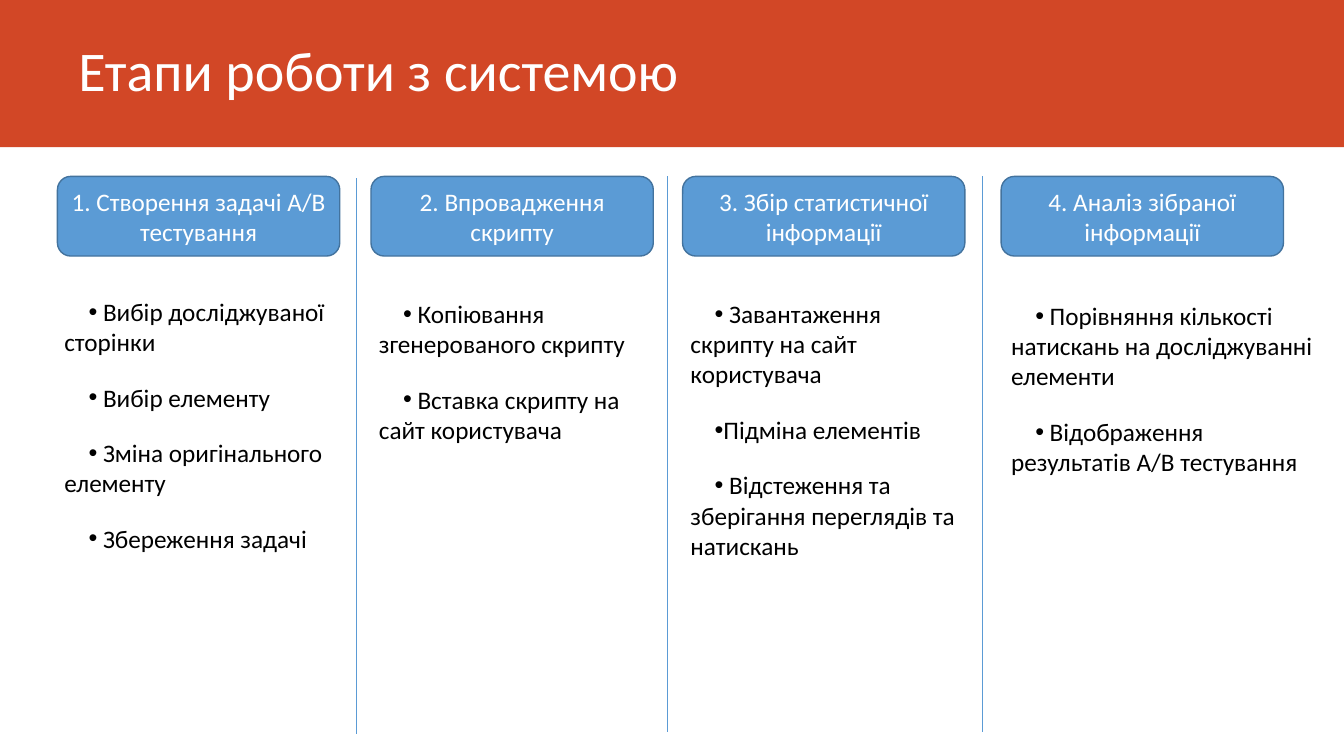
from lxml.etree import SubElement
from pptx import Presentation
from pptx.dml.color import RGBColor
from pptx.enum.shapes import MSO_CONNECTOR as Conn, MSO_SHAPE as Kind
from pptx.enum.text import MSO_ANCHOR as Anchor, PP_ALIGN as Align
from pptx.oxml.ns import qn
from pptx.util import Pt

# Content
TITLE = "Етапи роботи з системою"
# heading, heading left, list left, list top, list width, list height, items
STAGES = [
    ("1. Створення задачі A/B тестування", 57, 54, 289, 286, 268,
     [" Вибір досліджуваної сторінки", " Вибір елементу",
      " Зміна оригінального елементу", " Збереження задачі"]),
    ("2. Впровадження скрипту", 368, 366, 291, 286, 157,
     [" Копіювання згенерованого скрипту",
      " Вставка скрипту на сайт користувача"]),
    ("3. Збір статистичної інформації", 677, 675, 291, 295, 242,
     [" Завантаження скрипту на сайт користувача", "Підміна елементів",
      " Відстеження та зберігання переглядів та натискань"]),
    ("4. Аналіз зібраної інформації", 993, 993, 293, 326, 187,
     [" Порівняння кількості натискань на досліджуванні елементи",
      " Відображення результатів A/B тестування"]),
]
RULES = [(353, 177), (662, 175), (974, 175)]  # left, top

# Look
PX = 9144  # 100 px to the inch
WIDE, HIGH = 1333, 750
HEAD_TOP, HEAD_W, HEAD_H = 175, 280, 79
RULE_H, INDENT = 551, 24
FONT = "Calibri"
RED = RGBColor(0xD2, 0x47, 0x26)
BLUE = RGBColor(0x5B, 0x9B, 0xD5)
EDGE = RGBColor(0x43, 0x73, 0x9E)
WHITE = RGBColor(0xFF, 0xFF, 0xFF)
BLACK = RGBColor(0, 0, 0)


def emu(*sizes):
    return [size * PX for size in sizes]


def add_run(para, text, size, color):
    run = para.add_run()
    run.text = text
    run.font.name = FONT
    run.font.size = Pt(size)
    run.font.color.rgb = color


def add_box(slide, kind, box, fill):
    shape = slide.shapes.add_shape(kind, *emu(*box))
    shape.shadow.inherit = False
    shape.fill.solid()
    shape.fill.fore_color.rgb = fill
    shape.line.fill.background()
    return shape


def add_text(slide, box):
    frame = slide.shapes.add_textbox(*emu(*box)).text_frame
    frame.word_wrap = True
    return frame


def add_title(slide):
    add_box(slide, Kind.RECTANGLE, (0, 0, WIDE, 146), RED)
    frame = add_text(slide, (68, 0, 1150, 145))
    frame.vertical_anchor = Anchor.MIDDLE
    para = frame.paragraphs[0]
    para.line_spacing = 0.9
    add_run(para, TITLE, 40, WHITE)


def add_head(slide, text, left):
    box = (left, HEAD_TOP, HEAD_W, HEAD_H)
    shape = add_box(slide, Kind.ROUNDED_RECTANGLE, box, BLUE)
    shape.line.color.rgb = EDGE
    shape.line.width = Pt(1)
    frame = shape.text_frame
    frame.word_wrap = True
    frame.vertical_anchor = Anchor.MIDDLE
    para = frame.paragraphs[0]
    para.alignment = Align.CENTER
    add_run(para, text, 18, WHITE)


def add_list(slide, items, box):
    frame = add_text(slide, box)
    for i, item in enumerate(items):
        para = frame.add_paragraph() if i else frame.paragraphs[0]
        para.space_before = Pt(18)
        props = para._p.get_or_add_pPr()
        props.set("marL", "0")
        props.set("indent", str(INDENT * PX))
        SubElement(props, qn("a:buFont"), typeface="Arial")
        SubElement(props, qn("a:buChar"), char="•")
        add_run(para, item, 18, BLACK)


def add_rule(slide, left, top):
    ends = emu(left, top, left, top + RULE_H)
    rule = slide.shapes.add_connector(Conn.STRAIGHT, *ends)
    rule.line.color.rgb = BLUE
    rule.line.width = Pt(0.5)
    SubElement(rule._element.spPr, qn("a:effectLst"))


def main():
    deck = Presentation()
    deck.slide_width, deck.slide_height = emu(WIDE, HIGH)
    slide = deck.slides.add_slide(deck.slide_layouts[6])
    add_title(slide)
    for head, left, *box, items in STAGES:
        add_head(slide, head, left)
        add_list(slide, items, box)
    for left, top in RULES:
        add_rule(slide, left, top)
    deck.save("out.pptx")


if __name__ == "__main__":
    main()
